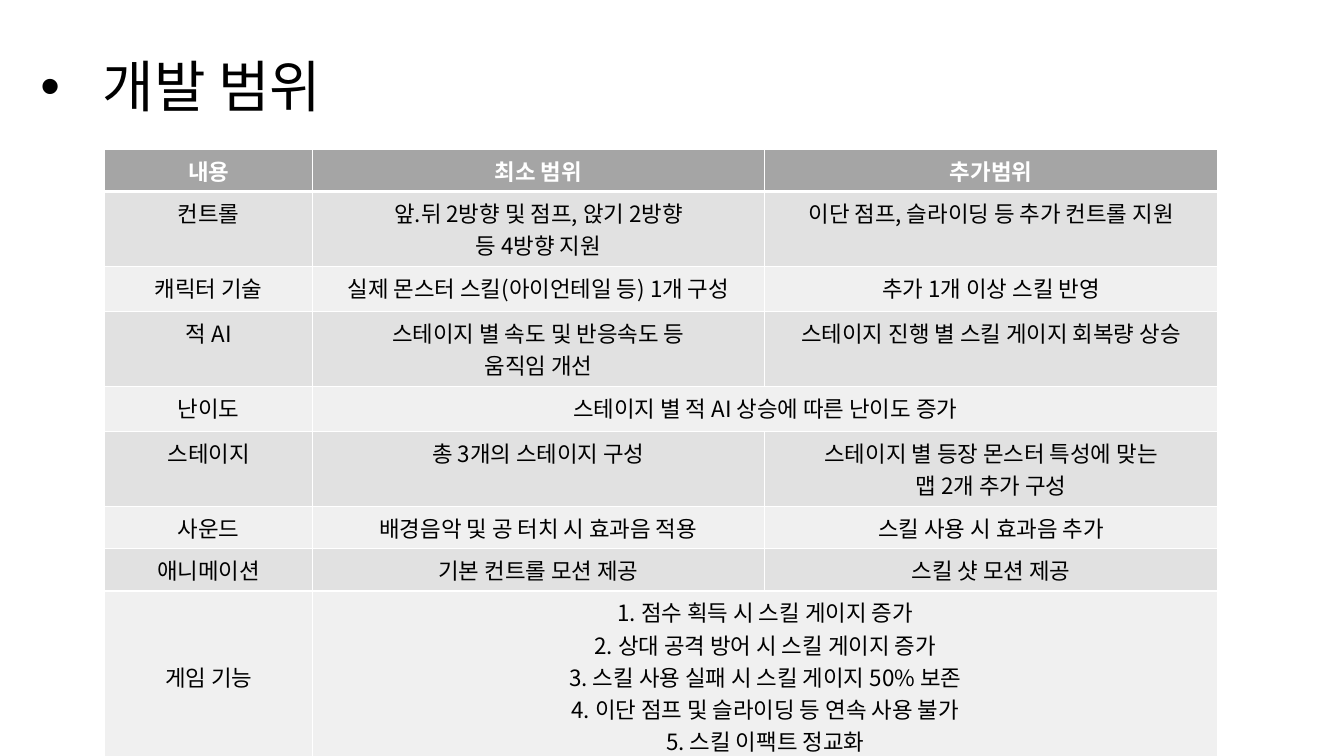
from lxml import etree
from pptx import Presentation
from pptx.dml.color import RGBColor
from pptx.enum.text import MSO_ANCHOR, MSO_AUTO_SIZE, PP_ALIGN
from pptx.oxml.ns import qn
from pptx.util import Inches, Pt

LEFT, CENTER = PP_ALIGN.LEFT, PP_ALIGN.CENTER
MIDDLE = MSO_ANCHOR.MIDDLE
NO_FIT = MSO_AUTO_SIZE.NONE

FONT = "Noto Sans CJK KR"
COLORS = {
    "text": "000000",
    "white": "FFFFFF",
    "header": "A5A5A5",
    "odd": "E1E1E1",
    "even": "F0F0F0",
}
COL_WIDTHS = [2.06, 4.48, 4.5]
ROW_HEIGHTS = [0.37, 0.45, 0.45, 0.45, 0.45, 0.45, 0.34, 0.25, 0.21]
SCOPE = [
    ["내용", "최소 범위", "추가범위"],
    ["컨트롤", "앞.뒤 2방향 및 점프, 앉기 2방향\n등 4방향 지원",
     "이단 점프, 슬라이딩 등 추가 컨트롤 지원"],
    ["캐릭터 기술", "실제 몬스터 스킬(아이언테일 등) 1개 구성",
     "추가 1개 이상 스킬 반영"],
    ["적 AI", "스테이지 별 속도 및 반응속도 등\n움직임 개선",
     "스테이지 진행 별 스킬 게이지 회복량 상승"],
    ["난이도", "스테이지 별 적 AI 상승에 따른 난이도 증가"],
    ["스테이지", "총 3개의 스테이지 구성",
     "스테이지 별 등장 몬스터 특성에 맞는\n맵 2개 추가 구성"],
    ["사운드", "배경음악 및 공 터치 시 효과음 적용", "스킬 사용 시 효과음 추가"],
    ["애니메이션", "기본 컨트롤 모션 제공", "스킬 샷 모션 제공"],
    ["게임 기능",
     "1. 점수 획득 시 스킬 게이지 증가\n"
     "2. 상대 공격 방어 시 스킬 게이지 증가\n"
     "3. 스킬 사용 실패 시 스킬 게이지 50% 보존\n"
     "4. 이단 점프 및 슬라이딩 등 연속 사용 불가\n"
     "5. 스킬 이팩트 정교화"],
]


def format_text(tf, size, color, align, bold=False):
    for p in tf.paragraphs:
        p.alignment = align
        for r in p.runs:
            r.font.size = Pt(size)
            r.font.bold = bold
            r.font.name = FONT
            r.font.color.rgb = RGBColor.from_string(COLORS[color])
            ea = etree.SubElement(r.font._element, qn("a:ea"))
            ea.set("typeface", FONT)


def set_borders(cell, bottom):
    tcPr = cell._tc.get_or_add_tcPr()
    widths = {"a:lnL": 1, "a:lnR": 1, "a:lnT": 1, "a:lnB": bottom}
    for i, (tag, width) in enumerate(widths.items()):
        ln = etree.Element(qn(tag), w=str(Pt(width)))
        fill = etree.SubElement(ln, qn("a:solidFill"))
        etree.SubElement(fill, qn("a:srgbClr"), val=COLORS["white"])
        tcPr.insert(i, ln)


def add_title(slide, left, top, width, height):
    sp = slide.shapes.title
    sp.left, sp.top = Inches(left), Inches(top)
    sp.width, sp.height = Inches(width), Inches(height)
    tf = sp.text_frame
    tf.text = "개발 범위"
    tf.auto_size = NO_FIT
    tf.vertical_anchor = MIDDLE
    format_text(tf, 40, "text", LEFT)
    p = tf.paragraphs[0]
    p.line_spacing = 0.9
    pPr = p._p.get_or_add_pPr()
    pPr.set("marL", str(Inches(0.62)))
    pPr.set("indent", str(-Inches(0.62)))
    etree.SubElement(pPr, qn("a:buFont"), typeface="Arial")
    etree.SubElement(pPr, qn("a:buChar"), char="•")


def add_scope_table(slide, left, top, width, height):
    frame = slide.shapes.add_table(
        len(SCOPE), len(COL_WIDTHS),
        Inches(left), Inches(top), Inches(width), Inches(height))
    table = frame.table
    for col, w in zip(table.columns, COL_WIDTHS):
        col.width = Inches(w)
    for row, h in zip(table.rows, ROW_HEIGHTS):
        row.height = Inches(h)
    for i, texts in enumerate(SCOPE):
        header = i == 0
        fill = "header" if header else "odd" if i % 2 else "even"
        if len(texts) < len(COL_WIDTHS):
            table.cell(i, 1).merge(table.cell(i, 2))
        for j in range(len(COL_WIDTHS)):
            cell = table.cell(i, j)
            cell.fill.solid()
            cell.fill.fore_color.rgb = RGBColor.from_string(COLORS[fill])
            set_borders(cell, 3 if header else 1)
        for j, text in enumerate(texts):
            tf = table.cell(i, j).text_frame
            tf.text = text
            format_text(tf, 16, "white" if header else "text", CENTER, header)
    table.cell(len(SCOPE) - 1, 0).vertical_anchor = MIDDLE


def main():
    prs = Presentation()
    prs.slide_width, prs.slide_height = Inches(13.33), Inches(7.5)
    slide = prs.slides.add_slide(prs.slide_layouts[5])
    add_title(slide, 0.3, 0.3, 11.5, 1.18)
    add_scope_table(slide, 1.04, 1.48, sum(COL_WIDTHS), sum(ROW_HEIGHTS))
    prs.save("out.pptx")


if __name__ == "__main__":
    main()
